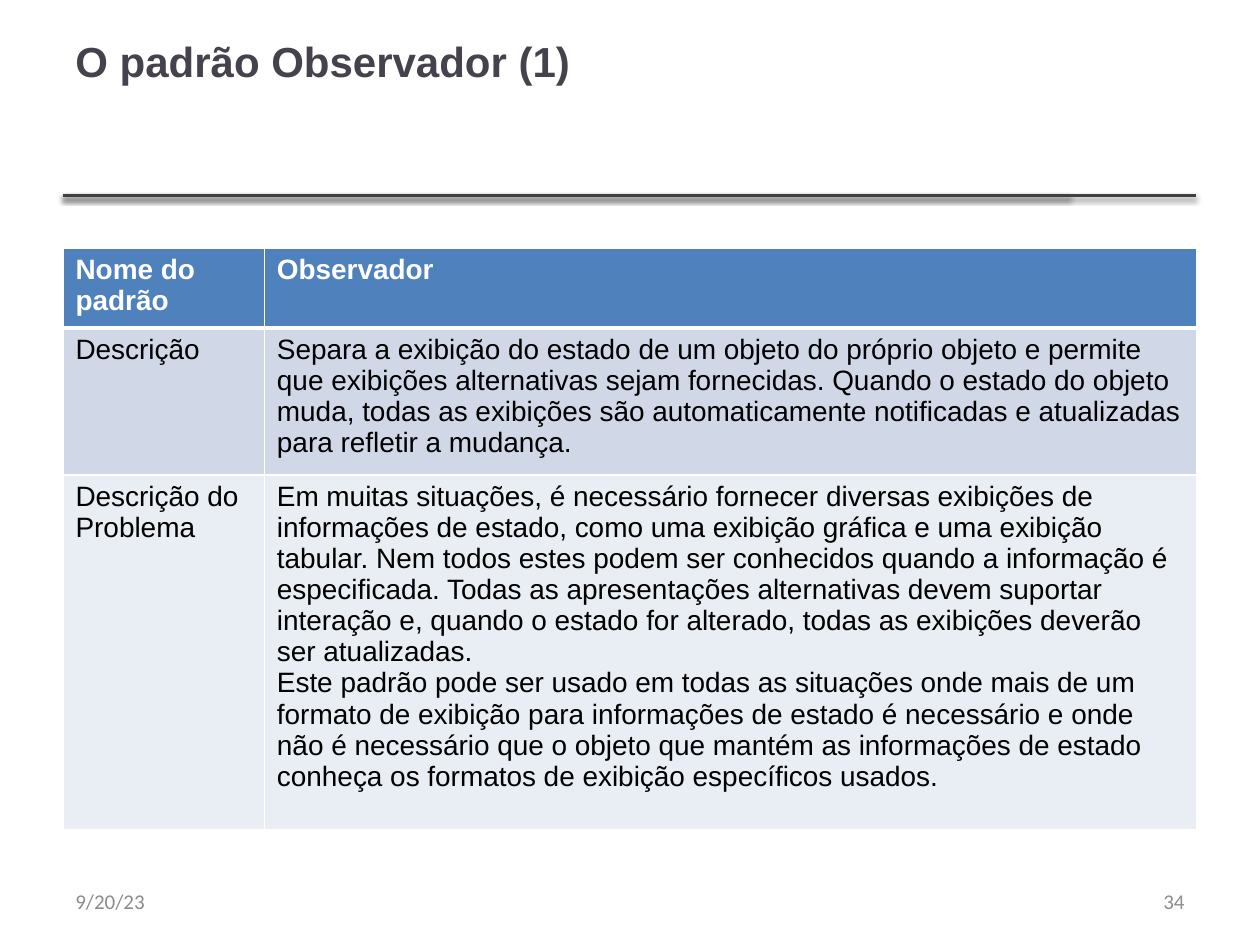
from lxml.etree import SubElement
from pptx import Presentation
from pptx.dml.color import RGBColor
from pptx.enum.shapes import MSO_CONNECTOR
from pptx.enum.text import MSO_ANCHOR, PP_ALIGN
from pptx.oxml import parse_xml
from pptx.oxml.ns import nsdecls, qn
from pptx.util import Cm, Pt

COLORS = {
    "title": "46424D",
    "rule": "404040",
    "footer": "8C8C8C",
    "header": "4F81BD",
    "band_dark": "D0D8E8",
    "band_light": "E9EDF4",
    "white": "FFFFFF",
    "black": "000000",
}

LEFT = 1.27
WIDTH = 22.86
COLUMN_WIDTHS = [4.06, 18.8]
ROW_HEIGHTS = [1.49, 2.76, 7.16]
ROW_FILLS = ["header", "band_dark", "band_light"]
PATTERN_ROWS = [
    ("Nome do padrão", "Observador"),
    (
        "Descrição",
        "Separa a exibição do estado de um objeto do próprio objeto e permite "
        "que exibições alternativas sejam fornecidas. Quando o estado do objeto "
        "muda, todas as exibições são automaticamente notificadas e atualizadas "
        "para refletir a mudança.",
    ),
    (
        "Descrição do Problema",
        "Em muitas situações, é necessário fornecer diversas exibições de "
        "informações de estado, como uma exibição gráfica e uma exibição "
        "tabular. Nem todos estes podem ser conhecidos quando a informação é "
        "especificada. Todas as apresentações alternativas devem suportar "
        "interação e, quando o estado for alterado, todas as exibições deverão "
        "ser atualizadas.\n"
        "Este padrão pode ser usado em todas as situações onde mais de um "
        "formato de exibição para informações de estado é necessário e onde "
        "não é necessário que o objeto que mantém as informações de estado "
        "conheça os formatos de exibição específicos usados.",
    ),
]


class SlideBuilder:
    def __init__(self, slide):
        self.slide = slide

    def color(self, name):
        return RGBColor.from_string(COLORS[name])

    def format_text(self, text_frame, size, color, font, bold=False, align=PP_ALIGN.LEFT):
        for paragraph in text_frame.paragraphs:
            paragraph.alignment = align
            for run in paragraph.runs:
                run.font.name = font
                run.font.size = Pt(size)
                run.font.bold = bold
                run.font.color.rgb = self.color(color)

    def text(self, text, left, top, width, height, **style):
        shape = self.slide.shapes.add_textbox(Cm(left), Cm(top), Cm(width), Cm(height))
        text_frame = shape.text_frame
        text_frame.word_wrap = True
        text_frame.vertical_anchor = MSO_ANCHOR.MIDDLE
        text_frame.text = text
        self.format_text(text_frame, **style)

    def rule(self, left, right, top):
        connector = self.slide.shapes.add_connector(
            MSO_CONNECTOR.STRAIGHT, Cm(left), Cm(top), Cm(right), Cm(top)
        )
        connector.line.color.rgb = self.color("rule")
        connector.line.width = Pt(2)
        connector._element.spPr.append(parse_xml(
            f'<a:effectLst {nsdecls("a")}>'
            f'<a:outerShdw blurRad="{Pt(3.1)}" dist="{Pt(1.6)}" dir="5400000">'
            f'<a:srgbClr val="{COLORS["black"]}"><a:alpha val="38000"/></a:srgbClr>'
            '</a:outerShdw></a:effectLst>'
        ))

    def borders(self, cell, top, bottom):
        properties = cell._tc.get_or_add_tcPr()
        for side, width in (("L", 1), ("R", 1), ("T", top), ("B", bottom)):
            line = SubElement(properties, qn(f"a:ln{side}"), w=str(Pt(width)))
            fill = SubElement(line, qn("a:solidFill"))
            SubElement(fill, qn("a:srgbClr"), val=COLORS["white"])

    def table(self, rows, left, top):
        shape = self.slide.shapes.add_table(
            len(rows), len(COLUMN_WIDTHS), Cm(left), Cm(top),
            Cm(sum(COLUMN_WIDTHS)), Cm(sum(ROW_HEIGHTS)),
        )
        table = shape.table
        for column, width in zip(table.columns, COLUMN_WIDTHS):
            column.width = Cm(width)
        for row_index, texts in enumerate(rows):
            table.rows[row_index].height = Cm(ROW_HEIGHTS[row_index])
            is_header = row_index == 0
            for column_index, text in enumerate(texts):
                cell = table.cell(row_index, column_index)
                cell.text_frame.text = text
                self.format_text(
                    cell.text_frame, 16, "white" if is_header else "black", "Arial", is_header
                )
                self.borders(cell, 3 if row_index == 1 else 1, 3 if is_header else 1)
                cell.fill.solid()
                cell.fill.fore_color.rgb = self.color(ROW_FILLS[row_index])


def main():
    presentation = Presentation()
    presentation.slide_width = Cm(25.4)
    presentation.slide_height = Cm(19.05)
    builder = SlideBuilder(presentation.slides.add_slide(presentation.slide_layouts[6]))

    for right in (21.56, 24.1):
        builder.rule(LEFT, right, 3.94)
    builder.text("O padrão Observador (1)", LEFT, -0.36, WIDTH, 3.18,
                 size=24, color="title", font="Arial", bold=True)
    builder.table(PATTERN_ROWS, LEFT, 5)
    footer_width = 5.92
    for text, left, align in (
        ("34", LEFT + WIDTH - footer_width, PP_ALIGN.RIGHT),
        ("9/20/23", LEFT, PP_ALIGN.LEFT),
    ):
        builder.text(text, left, 17.65, footer_width, 1.02,
                     size=12, color="footer", font="Calibri", align=align)

    presentation.save("out.pptx")


if __name__ == "__main__":
    main()
